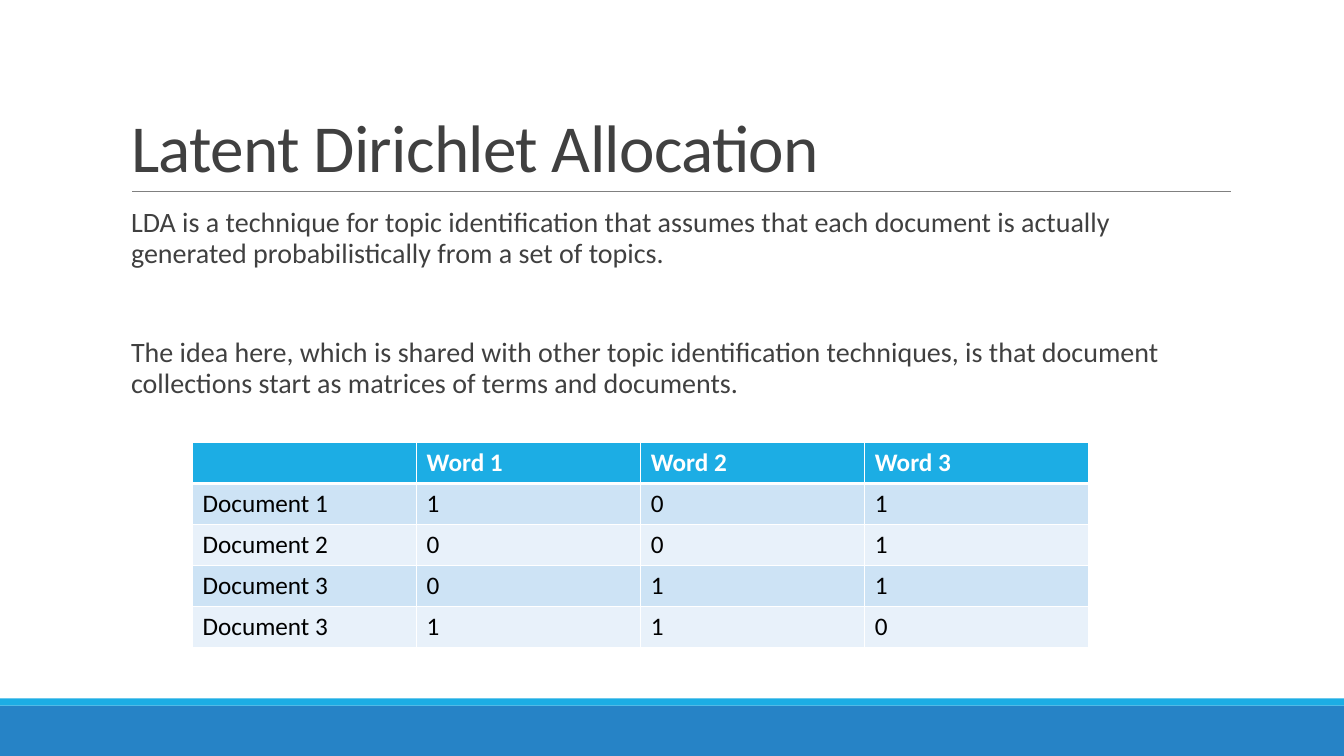
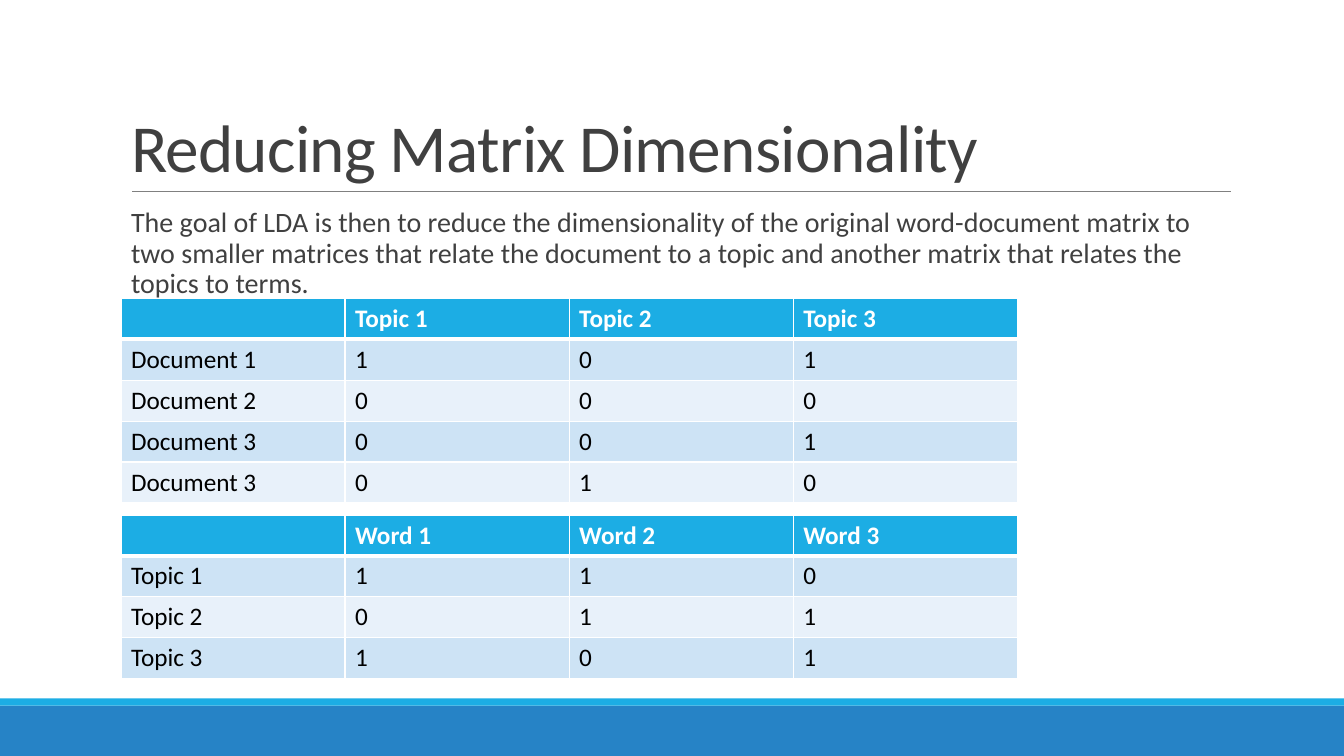
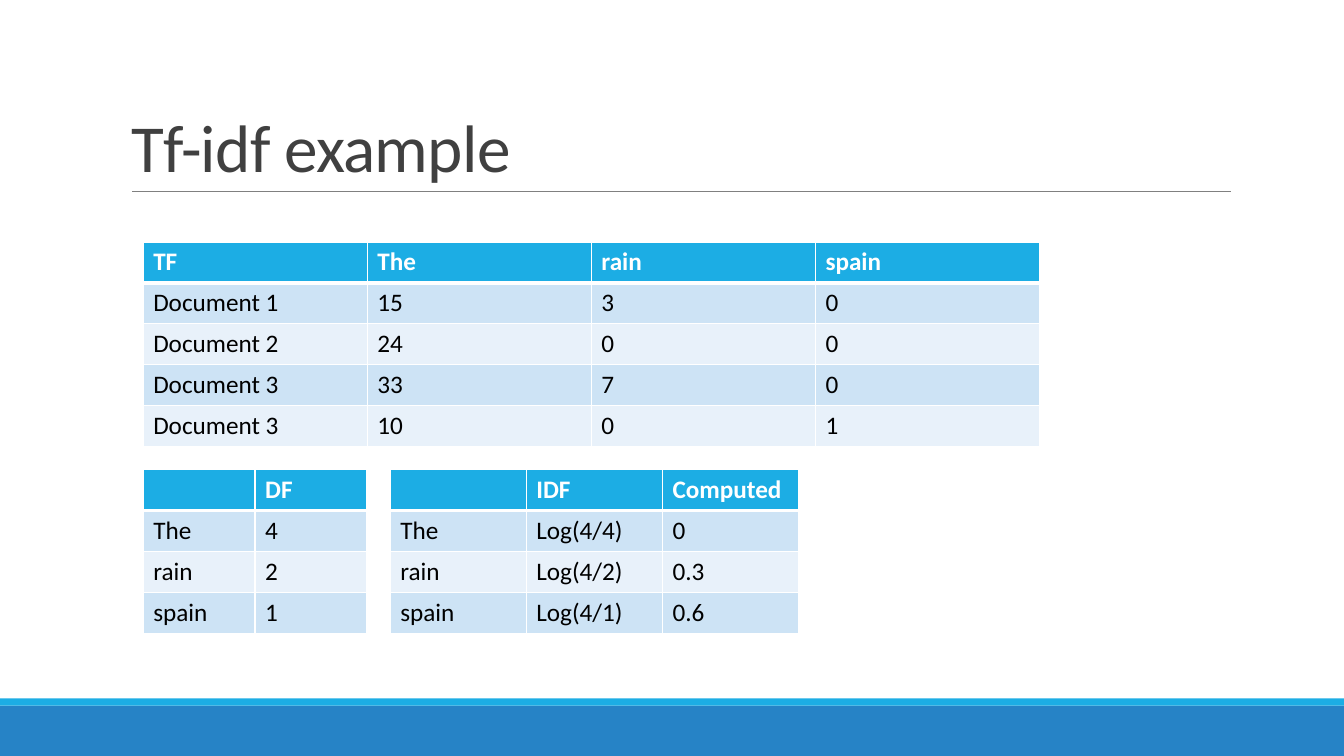
from lxml.etree import SubElement
from pptx import Presentation
from pptx.dml.color import RGBColor
from pptx.enum.shapes import MSO_CONNECTOR as CONNECTOR, MSO_SHAPE as SHAPE
from pptx.enum.text import MSO_ANCHOR as ANCHOR, MSO_AUTO_SIZE as AUTO_SIZE, PP_ALIGN as ALIGN
from pptx.oxml.ns import qn
from pptx.util import Inches, Pt

COLORS = {
    "band": "2683C6",
    "accent": "1CADE4",
    "rule": "808080",
    "text": "404040",
    "cell": "000000",
    "white": "FFFFFF",
    "odd_row": "CDE3F5",
    "even_row": "E8F1FA",
}
FONT = "Calibri"
SLIDE_WIDTH, SLIDE_HEIGHT = 13.33, 7.5
TITLE_BOX = (1.2, 0.31, 11, 1.59)
BODY_BOX = (1.2, 2.02, 11, 4.4)
TITLE_LAYOUT, BODY_LAYOUT = 5, 1
FIRST_MASTER_ID = 101


def color(name):
    return RGBColor.from_string(COLORS[name])


def add_span(para, text, size, color_name, bold=False):
    span = para.add_run()
    span.text = text
    font = span.font
    font.name, font.size, font.bold = FONT, Pt(size), bold
    font.color.rgb = color(color_name)
    return span


def place(box, bounds):
    box.left, box.top, box.width, box.height = map(Inches, bounds)


def add_band(page, top, height, color_name):
    band = page.shapes.add_shape(
        SHAPE.RECTANGLE, 0, Inches(top), Inches(SLIDE_WIDTH), Inches(height)
    )
    band.shadow.inherit = False
    band.fill.solid()
    band.fill.fore_color.rgb = color(color_name)
    band.line.fill.background()
    return band


def add_rule(page, left, right, top):
    rule = page.shapes.add_connector(
        CONNECTOR.STRAIGHT, Inches(left), Inches(top), Inches(right), Inches(top)
    )
    rule.line.color.rgb = color("rule")
    rule.line.width = Pt(0.5)
    SubElement(rule.element.spPr, qn("a:effectLst"))
    return rule


def style_master(deck, page):
    master = deck.slide_master
    title, body = master.placeholders[0], master.placeholders[1]
    for box, bounds, anchor in (
        (title, TITLE_BOX, ANCHOR.BOTTOM),
        (body, BODY_BOX, ANCHOR.TOP),
    ):
        place(box, bounds)
        box.text_frame.vertical_anchor = anchor
        box.text_frame.auto_size = AUTO_SIZE.NONE
    body.text_frame.margin_left = body.text_frame.margin_right = 0
    shared = [
        add_band(page, 7, 0.5, "band"),
        add_band(page, 6.93, 0.07, "accent"),
        add_rule(page, 1.31, 12.21, 1.9),
    ]
    for number, shape in enumerate(shared, FIRST_MASTER_ID):
        shape.element.xpath(".//p:cNvPr")[0].set("id", str(number))
        master.shapes.element.append(shape.element)


def add_page(deck, layout, title):
    page = deck.slides.add_slide(deck.slide_layouts[layout])
    para = page.shapes.title.text_frame.paragraphs[0]
    para.alignment = ALIGN.LEFT
    para.line_spacing = 0.85
    span = add_span(para, title, 48, "text")
    span.font._element.set("spc", "-50")
    return page


def set_blank_bullet(para):
    props = para._p.get_or_add_pPr()
    props.set("marL", str(Inches(0.1)))
    props.set("indent", str(Inches(-0.1)))
    bullet_color = SubElement(props, qn("a:buClr"))
    SubElement(bullet_color, qn("a:srgbClr"), val=COLORS["accent"])
    SubElement(props, qn("a:buChar"), char=" ")


def fill_body(page, texts):
    frame = page.placeholders[1].text_frame
    for index, text in enumerate(texts):
        para = frame.add_paragraph() if index else frame.paragraphs[0]
        para.line_spacing = 0.9
        para.space_before = Pt(47.6 if index else 12)
        para.space_after = Pt(2)
        set_blank_bullet(para)
        add_span(para, text, 20, "text")


def set_borders(cell, top, bottom):
    props = cell._tc.get_or_add_tcPr()
    for side, width in (("L", 1), ("R", 1), ("T", top), ("B", bottom)):
        line = SubElement(props, qn(f"a:ln{side}"), w=str(Pt(width)))
        fill = SubElement(line, qn("a:solidFill"))
        SubElement(fill, qn("a:srgbClr"), val=COLORS["white"])


def add_matrix(page, bounds, rows):
    table = page.shapes.add_table(len(rows), len(rows[0]), *map(Inches, bounds)).table
    for row_index, row in enumerate(rows):
        header = row_index == 0
        fill_name = "accent" if header else "odd_row" if row_index % 2 else "even_row"
        for column_index, text in enumerate(row):
            cell = table.cell(row_index, column_index)
            set_borders(cell, 3 if row_index == 1 else 1, 3 if header else 1)
            cell.fill.solid()
            cell.fill.fore_color.rgb = color(fill_name)
            if text:
                para = cell.text_frame.paragraphs[0]
                add_span(para, text, 18, "white" if header else "cell", header)


def add_allocation_page(deck):
    page = add_page(deck, BODY_LAYOUT, "Latent Dirichlet Allocation")
    fill_body(page, [
        "LDA is a technique for topic identification that assumes that each document "
        "is actually generated probabilistically from a set of topics.",
        "The idea here, which is shared with other topic identification techniques, "
        "is that document collections start as matrices of terms and documents.",
    ])
    add_matrix(page, (1.91, 4.39, 8.89, 2.03), [
        ("", "Word 1", "Word 2", "Word 3"),
        ("Document 1", "1", "0", "1"),
        ("Document 2", "0", "0", "1"),
        ("Document 3", "0", "1", "1"),
        ("Document 3", "1", "1", "0"),
    ])
    return page


def add_reduction_page(deck):
    page = add_page(deck, BODY_LAYOUT, "Reducing Matrix Dimensionality")
    fill_body(page, [
        "The goal of LDA is then to reduce the dimensionality of the original "
        "word-document matrix to two smaller matrices that relate the document to a "
        "topic and another matrix that relates the topics to terms.",
    ])
    add_matrix(page, (1.2, 2.96, 8.89, 2.03), [
        ("", "Topic 1", "Topic 2", "Topic 3"),
        ("Document 1", "1", "0", "1"),
        ("Document 2", "0", "0", "0"),
        ("Document 3", "0", "0", "1"),
        ("Document 3", "0", "1", "0"),
    ])
    add_matrix(page, (1.2, 5.11, 8.89, 1.62), [
        ("", "Word 1", "Word 2", "Word 3"),
        ("Topic 1", "1", "1", "0"),
        ("Topic 2", "0", "1", "1"),
        ("Topic 3", "1", "0", "1"),
    ])


def add_tf_idf_page(deck):
    page = add_page(deck, TITLE_LAYOUT, "Tf-idf example")
    add_matrix(page, (1.42, 2.4, 8.89, 2.03), [
        ("TF", "The", "rain", "spain"),
        ("Document 1", "15", "3", "0"),
        ("Document 2", "24", "0", "0"),
        ("Document 3", "33", "7", "0"),
        ("Document 3", "10", "0", "1"),
    ])
    add_matrix(page, (1.42, 4.66, 2.22, 1.6), [
        ("", "DF"),
        ("The", "4"),
        ("rain", "2"),
        ("spain", "1"),
    ])
    add_matrix(page, (3.87, 4.66, 4.05, 1.6), [
        ("", "IDF", "Computed"),
        ("The", "Log(4/4)", "0"),
        ("rain", "Log(4/2)", "0.3"),
        ("spain", "Log(4/1)", "0.6"),
    ])


def main():
    deck = Presentation()
    deck.slide_width, deck.slide_height = Inches(SLIDE_WIDTH), Inches(SLIDE_HEIGHT)
    first_page = add_allocation_page(deck)
    style_master(deck, first_page)
    add_reduction_page(deck)
    add_tf_idf_page(deck)
    deck.save("out.pptx")


if __name__ == "__main__":
    main()
